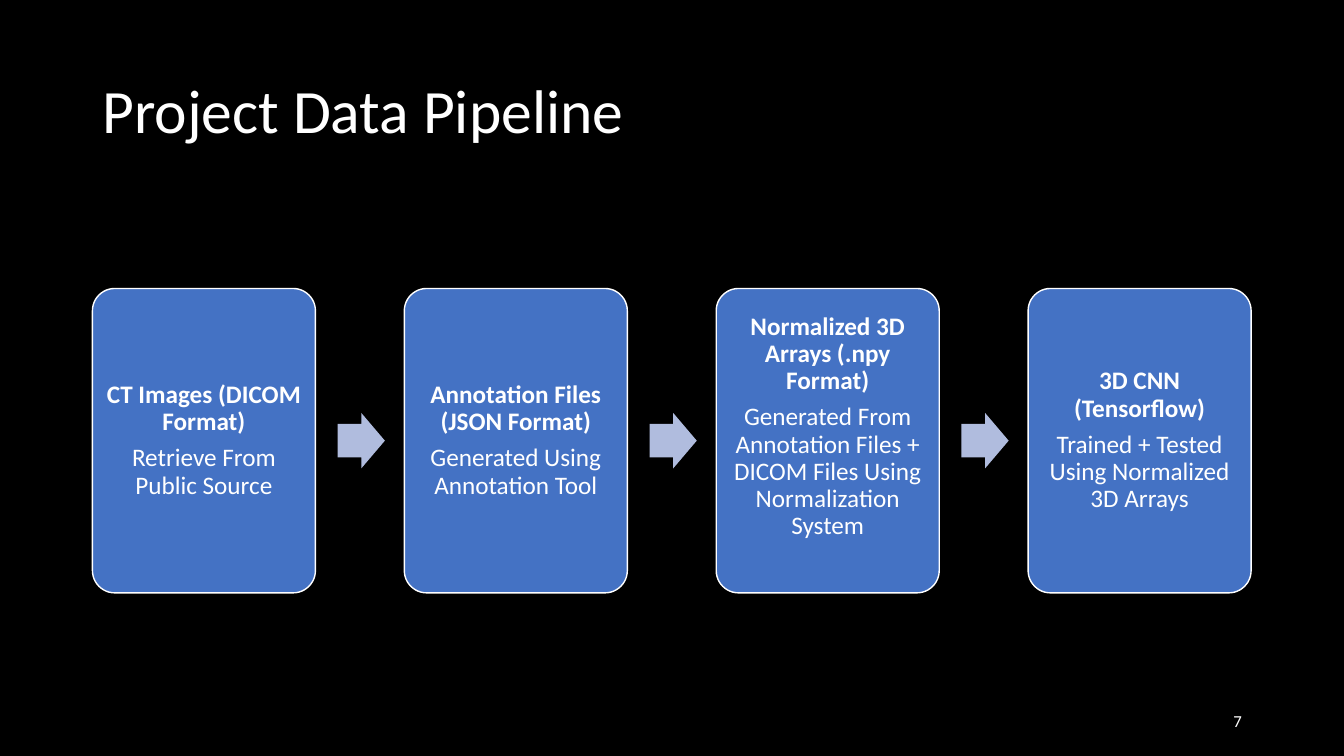
from dataclasses import dataclass

from pptx import Presentation
from pptx.dml.color import RGBColor
from pptx.enum.shapes import MSO_SHAPE
from pptx.enum.text import MSO_ANCHOR, PP_ALIGN
from pptx.util import Cm, Pt

ROUNDED = MSO_SHAPE.ROUNDED_RECTANGLE
ARROW = MSO_SHAPE.RIGHT_ARROW
MIDDLE = MSO_ANCHOR.MIDDLE
LEFT, CENTER, RIGHT = PP_ALIGN.LEFT, PP_ALIGN.CENTER, PP_ALIGN.RIGHT
TITLE_ONLY = 5


@dataclass(frozen=True)
class Theme:
    font: str = "Calibri"
    background: RGBColor = RGBColor(0x00, 0x00, 0x00)
    text: RGBColor = RGBColor(0xFF, 0xFF, 0xFF)
    card: RGBColor = RGBColor(0x44, 0x72, 0xC4)
    arrow: RGBColor = RGBColor(0xB0, 0xBC, 0xDE)
    title_size: Pt = Pt(44)
    card_size: Pt = Pt(18)
    number_size: Pt = Pt(12)


THEME = Theme()

CARD_LEFT, CARD_TOP = 2.33, 7.27
CARD_WIDTH, CARD_HEIGHT = 5.62, 7.67
CARD_PITCH = 7.86
CARD_INSET = 0.18
ARROW_OFFSET = 6.18
ARROW_WIDTH, ARROW_HEIGHT = 1.19, 1.4
ARROW_TOP = CARD_TOP + (CARD_HEIGHT - ARROW_HEIGHT) / 2

STAGES = [
    ("CT Images (DICOM Format)", "Retrieve From Public Source", 0),
    ("Annotation Files (JSON Format)", "Generated Using Annotation Tool", 0),
    (
        "Normalized 3D Arrays (.npy Format)",
        "Generated From Annotation Files + DICOM Files Using Normalization System",
        0.69,
    ),
    ("3D CNN (Tensorflow)", "Trained + Tested Using Normalized 3D Arrays", 0),
]


def format_paragraph(paragraph, size, alignment, bold=False):
    paragraph.alignment = alignment
    for run in paragraph.runs:
        run.font.name = THEME.font
        run.font.size = size
        run.font.bold = bold
        run.font.color.rgb = THEME.text


def set_title(slide, text):
    title = slide.shapes.title
    title.left, title.top = Cm(2.33), Cm(1.02)
    title.width, title.height = Cm(29.21), Cm(3.68)
    frame = title.text_frame
    frame.text = text
    frame.vertical_anchor = MIDDLE
    paragraph = frame.paragraphs[0]
    paragraph.line_spacing = 0.9
    format_paragraph(paragraph, THEME.title_size, LEFT)


def add_filled_shape(slide, kind, left, top, width, height, color):
    shape = slide.shapes.add_shape(kind, Cm(left), Cm(top), Cm(width), Cm(height))
    shape.shadow.inherit = False
    shape.fill.solid()
    shape.fill.fore_color.rgb = color
    return shape


def add_card(slide, left, heading, detail, lift):
    card = add_filled_shape(
        slide, ROUNDED, left, CARD_TOP, CARD_WIDTH, CARD_HEIGHT, THEME.card
    )
    card.adjustments[0] = 0.1
    card.line.color.rgb = THEME.text
    card.line.width = Pt(1)
    frame = card.text_frame
    frame.word_wrap = True
    frame.vertical_anchor = MIDDLE
    frame.margin_left = frame.margin_right = frame.margin_top = Cm(CARD_INSET)
    frame.margin_bottom = Cm(CARD_INSET + lift)
    frame.text = f"{heading}\n{detail}"
    for index, paragraph in enumerate(frame.paragraphs):
        paragraph.line_spacing = 0.9
        paragraph.space_after = Pt(6.3)
        format_paragraph(paragraph, THEME.card_size, CENTER, bold=index == 0)


def add_arrow(slide, left):
    arrow = add_filled_shape(
        slide, ARROW, left, ARROW_TOP, ARROW_WIDTH, ARROW_HEIGHT, THEME.arrow
    )
    arrow.adjustments[0] = 0.6
    arrow.adjustments[1] = 0.5
    arrow.line.fill.background()


def add_slide_number(slide, number):
    box = slide.shapes.add_textbox(Cm(23.93), Cm(17.65), Cm(7.62), Cm(1.02))
    frame = box.text_frame
    frame.word_wrap = True
    frame.vertical_anchor = MIDDLE
    frame.text = number
    format_paragraph(frame.paragraphs[0], THEME.number_size, RIGHT)


def main():
    presentation = Presentation()
    presentation.slide_width = Cm(33.87)
    presentation.slide_height = Cm(19.05)
    slide = presentation.slides.add_slide(presentation.slide_layouts[TITLE_ONLY])
    slide.background.fill.solid()
    slide.background.fill.fore_color.rgb = THEME.background

    set_title(slide, "Project Data Pipeline")
    for index, (heading, detail, lift) in enumerate(STAGES):
        left = CARD_LEFT + index * CARD_PITCH
        add_card(slide, left, heading, detail, lift)
        if index < len(STAGES) - 1:
            add_arrow(slide, left + ARROW_OFFSET)
    add_slide_number(slide, "7")

    presentation.save("out.pptx")


if __name__ == "__main__":
    main()
